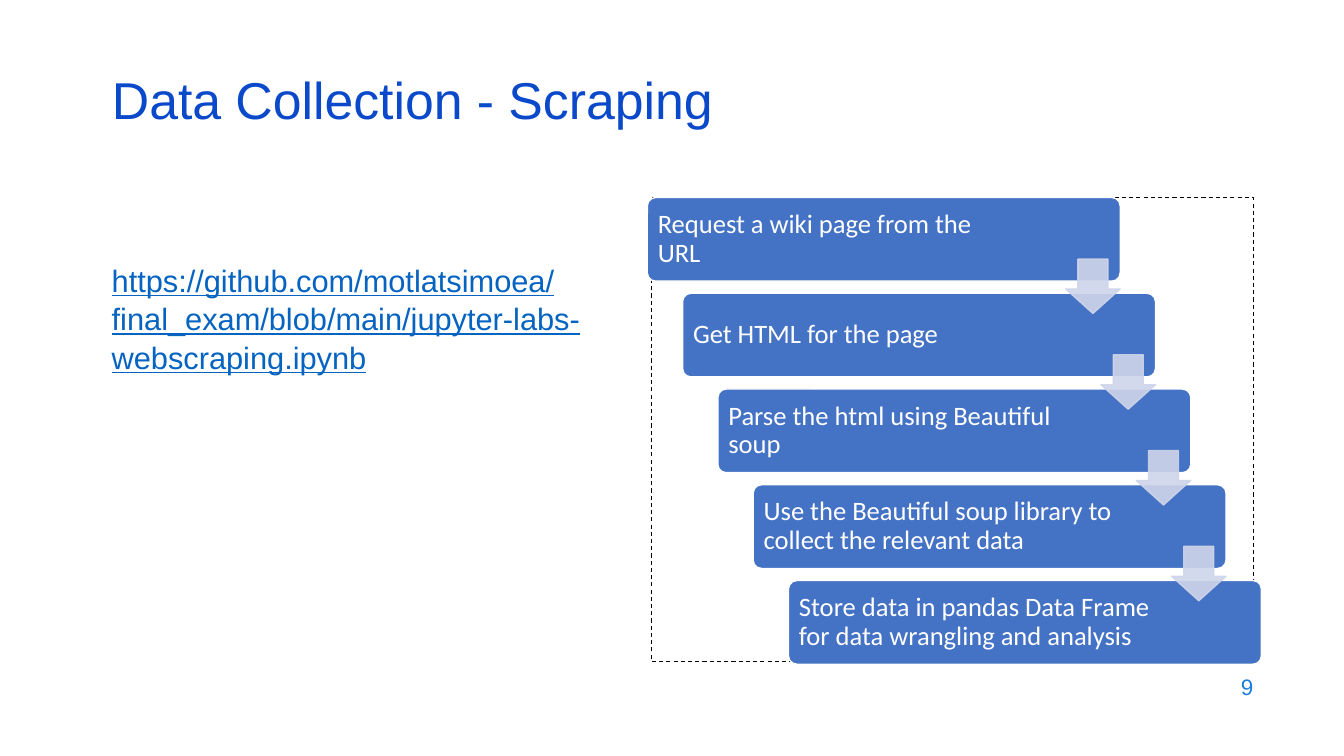
from lxml import etree
from pptx import Presentation
from pptx import util as u
from pptx.dml.color import RGBColor
from pptx.enum import dml, shapes, text
from pptx.oxml import ns

TITLE = RGBColor(0x0B, 0x49, 0xCB)
LINK = RGBColor(0x05, 0x63, 0xC1)
PAGE = RGBColor(0x1C, 0x7D, 0xDB)
STEP = RGBColor(0x44, 0x72, 0xC4)
ARROW = RGBColor(0xCF, 0xD5, 0xEA)
WHITE = RGBColor(0xFF, 0xFF, 0xFF)
BLACK = RGBColor(0, 0, 0)

LEFT, TOP = 1.01, 1.96       # text margin and top row of the content
COL, ROW = 0.35, 0.95        # offset from one step to the next
WIDE, HIGH = 4.69, 0.83      # size of a step
START = 6.42                 # left edge of the first step
TIP = 0.54                   # size of an arrow

STEPS = [
    "Request a wiki page from the URL",
    "Get HTML for the page",
    "Parse the html using Beautiful soup",
    "Use the Beautiful soup library to collect the relevant data",
    "Store data in pandas Data Frame for data wrangling and analysis",
]


def write(shape, words, size, color, font="Arial", align=text.PP_ALIGN.LEFT,
          anchor=text.MSO_ANCHOR.MIDDLE, space=1.0, line=False,
          pad=(0.1, 0.05, 0.1, 0.05)):
    frame = shape.text_frame
    frame.word_wrap = True
    frame.auto_size = text.MSO_AUTO_SIZE.NONE
    frame.vertical_anchor = anchor
    (frame.margin_left, frame.margin_top,
     frame.margin_right, frame.margin_bottom) = map(u.Inches, pad)
    para = frame.paragraphs[0]
    para.alignment = align
    para.line_spacing = space
    run = para.add_run()
    run.text = words
    run.font.name = font
    run.font.size = u.Pt(size)
    run.font.color.rgb = color
    run.font.underline = line


def draw(kind, x, y, w, h, fill, edge, width=1):
    shape = slide.shapes.add_shape(kind, *map(u.Inches, (x, y, w, h)))
    shape.shadow.inherit = False
    if fill is None:
        shape.fill.background()
    else:
        shape.fill.solid()
        shape.fill.fore_color.rgb = fill
    shape.line.color.rgb = edge
    shape.line.width = u.Pt(width)
    return shape


deck = Presentation()
deck.slide_width, deck.slide_height = u.Inches(13.33), u.Inches(7.5)
slide = deck.slides.add_slide(deck.slide_layouts[5])

title = slide.shapes.title
title.left, title.top, title.width, title.height = map(
    u.Inches, (LEFT, 0.76, 11.5, 0.6))
write(title, "Data Collection - Scraping", 37, TITLE, space=0.7)

link = slide.shapes.add_textbox(*map(u.Inches, (LEFT, 2.53, 5.13, 1.45)))
write(link, "https://github.com/motlatsimoea/final_exam/blob/main/"
      "jupyter-labs-webscraping.ipynb", 22, LINK,
      anchor=text.MSO_ANCHOR.TOP, space=1.04, line=True)

page = slide.shapes.add_textbox(*map(u.Inches, (9.53, 6.59, 3, 0.44)))
write(page, "9", 16, PAGE, align=text.PP_ALIGN.RIGHT)

frame = draw(shapes.MSO_SHAPE.RECTANGLE, 6.46, TOP, 5.97, 4.6,
             None, BLACK, 0.75)
frame.line.dash_style = dml.MSO_LINE.DASH

for i, words in enumerate(STEPS):
    step = draw(shapes.MSO_SHAPE.ROUNDED_RECTANGLE, START + i * COL,
                TOP + i * ROW, WIDE, HIGH, STEP, WHITE)
    step.adjustments[0] = 0.1
    write(step, words, 19, WHITE, font="Calibri", space=0.9,
          pad=(0.08, 0.08, 1.03, 0.08))

for i in range(len(STEPS) - 1):
    arrow = draw(shapes.MSO_SHAPE.DOWN_ARROW, START + WIDE - TIP + i * COL,
                 2.57 + i * ROW, TIP, TIP, ARROW, ARROW)
    arrow.adjustments[0], arrow.adjustments[1] = 0.55, 0.45
    for tint in arrow._element.spPr.iter(ns.qn("a:srgbClr")):
        etree.SubElement(tint, ns.qn("a:alpha"), val="90000")

deck.save("out.pptx")
